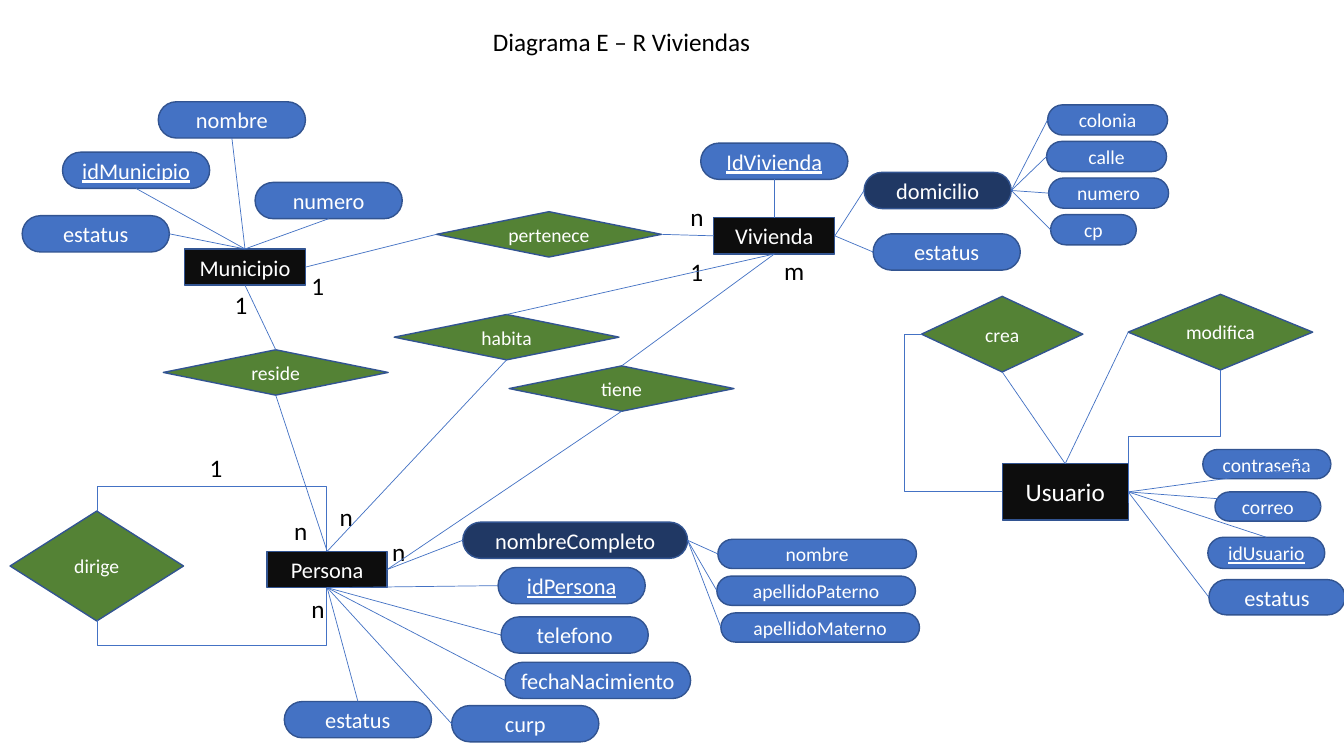
from pptx import Presentation
from pptx.dml.color import RGBColor
from pptx.enum.shapes import MSO_CONNECTOR, MSO_SHAPE
from pptx.enum.text import MSO_ANCHOR, MSO_AUTO_SIZE, PP_ALIGN
from pptx.oxml.ns import qn
from pptx.util import Inches, Pt
from lxml.etree import SubElement

WHITE = RGBColor(0xFF, 0xFF, 0xFF)
BLACK = RGBColor(0x00, 0x00, 0x00)
ENTITY_BLACK = RGBColor(0x0D, 0x0D, 0x0D)
BLUE = RGBColor(0x44, 0x72, 0xC4)
NAVY = RGBColor(0x20, 0x38, 0x64)
GREEN = RGBColor(0x54, 0x82, 0x35)
OUTLINE = RGBColor(0x32, 0x54, 0x91)

TOP, LEFT, BOTTOM, RIGHT = range(4)
KINDS = {
    "entity": (MSO_SHAPE.RECTANGLE, ENTITY_BLACK, 16, False),
    "attribute": (MSO_SHAPE.ROUNDED_RECTANGLE, BLUE, 16, False),
    "key": (MSO_SHAPE.ROUNDED_RECTANGLE, BLUE, 16, True),
    "composite": (MSO_SHAPE.ROUNDED_RECTANGLE, NAVY, 16, False),
    "relation": (MSO_SHAPE.DIAMOND, GREEN, 14, False),
}


def write(shape, text, align, anchor, font_format):
    """Write one formatted line of text into a shape."""
    frame = shape.text_frame
    frame.word_wrap = True
    frame.vertical_anchor = anchor
    para = frame.paragraphs[0]
    para.alignment = align
    span = para.add_run()
    span.text = text
    color = font_format["color"]
    for name, value in font_format.items():
        if name != "color":
            setattr(span.font, name, value)
    span.font.color.rgb = color


def add_node(page, kind, text, left, top, width=1.46, height=0.36, size=None):
    """Add an entity, attribute or relation to the diagram."""
    preset, fill, default_size, underline = KINDS[kind]
    node = page.shapes.add_shape(preset, Inches(left), Inches(top), Inches(width), Inches(height))
    node.shadow.inherit = False
    if preset == MSO_SHAPE.ROUNDED_RECTANGLE:
        node.adjustments[0] = 0.5
    node.fill.solid()
    node.fill.fore_color.rgb = fill
    node.line.color.rgb = OUTLINE
    node.line.width = Pt(1)
    write(node, text, PP_ALIGN.CENTER, MSO_ANCHOR.MIDDLE, {
        "name": "Calibri", "size": Pt(size or default_size),
        "underline": underline, "color": WHITE})
    return node


def style_line(connector):
    """Give a connector the thin blue line without a shadow."""
    connector.line.color.rgb = BLUE
    connector.line.width = Pt(0.5)
    SubElement(connector._element.spPr, qn("a:effectLst"))


def link(page, first, first_side, second, second_side):
    """Join the sides of two nodes with a straight line."""
    connector = page.shapes.add_connector(MSO_CONNECTOR.STRAIGHT, 0, 0, 0, 0)
    connector.begin_connect(first, first_side)
    connector.end_connect(second, second_side)
    style_line(connector)


def add_elbow(page, start, end, bend, rotation, flip=False):
    """Draw a bent line whose first leg follows the given rotation."""
    (x1, y1), (x2, y2) = start, end
    width, height = abs(x2 - x1), abs(y2 - y1)
    if rotation % 180:
        width, height = height, width
    left, top = (x1 + x2 - width) / 2, (y1 + y2 - height) / 2
    connector = page.shapes.add_connector(
        MSO_CONNECTOR.ELBOW, Inches(left), Inches(top), Inches(left + width), Inches(top + height))
    properties = connector._element.spPr
    frame = properties.find(qn("a:xfrm"))
    frame.set("rot", str(rotation * 60000))
    if flip:
        frame.set("flipV", "1")
    guides = properties.find(qn("a:prstGeom")).get_or_add_avLst()
    SubElement(guides, qn("a:gd"), name="adj1", fmla=f"val {round(bend * 100000)}")
    style_line(connector)


def add_labels(page, left, top, labels):
    """Place cardinality labels relative to a corner."""
    for text, x, y in labels:
        box = page.shapes.add_textbox(Inches(left + x), Inches(top + y), Inches(0.5), Inches(0.4))
        write(box, text, PP_ALIGN.LEFT, MSO_ANCHOR.TOP,
              {"name": "Calibri", "size": Pt(18), "color": BLACK})


def add_attributes(page, owner, left, top, attributes):
    """Place attributes relative to a corner and link each to its owner."""
    for kind, text, x, y, side, owner_side, *size in attributes:
        node = add_node(page, kind, text, left + x, top + y, *size)
        link(page, owner, owner_side, node, side)


def draw_title(page, left, top, width, height):
    """Format and place the title of the diagram."""
    title = page.shapes.title
    place = {"left": left, "top": top, "width": width, "height": height}
    for name, value in place.items():
        setattr(title, name, Inches(value))
    title.text_frame.auto_size = MSO_AUTO_SIZE.NONE
    write(title, "Diagrama E – R Viviendas", PP_ALIGN.CENTER, MSO_ANCHOR.TOP,
          {"name": "Calibri", "size": Pt(18), "color": BLACK})


def draw_municipio(page, left, top):
    """Draw the Municipio entity with its attributes."""
    entity = add_node(page, "entity", "Municipio", left + 1.61, top + 1.46, 1.2)
    add_attributes(page, entity, left, top, [
        ("attribute", "nombre", 1.35, 0, BOTTOM, TOP),
        ("key", "idMunicipio", 0.4, 0.5, BOTTOM, TOP),
        ("attribute", "numero", 2.31, 0.8, BOTTOM, TOP),
        ("attribute", "estatus", 0, 1.13, RIGHT, TOP),
    ])
    add_labels(page, left, top, [("1", 2.77, 1.62), ("1", 2.01, 1.81)])
    return entity


def draw_vivienda(page, left, top):
    """Draw the Vivienda entity with its attributes and address parts."""
    entity = add_node(page, "entity", "Vivienda", left + 0.33, top + 1.12, 1.2)
    address = add_node(page, "composite", "domicilio", left + 1.82, top + 0.67)
    link(page, entity, RIGHT, address, LEFT)
    add_attributes(page, entity, left, top, [
        ("key", "IdVivienda", 0.2, 0.38, BOTTOM, TOP),
        ("attribute", "estatus", 1.91, 1.28, LEFT, RIGHT),
    ])
    parts = [("colonia", 3.64, 1.19), ("calle", 3.63, 1.19), ("numero", 3.65, 1.19), ("cp", 3.67, 0.85)]
    add_attributes(page, address, left, top, [
        ("attribute", text, x, row * 0.363, LEFT, RIGHT, width, 0.3, 14)
        for row, (text, x, width) in enumerate(parts)
    ])
    add_labels(page, left, top, [("n", 0, 0.91), ("1", 0, 1.45), ("m", 0.93, 1.44)])
    return entity


def draw_persona(page, left, top):
    """Draw the Persona entity, its attributes and the dirige loop."""
    entity = add_node(page, "entity", "Persona", left + 2.55, top + 1.03, 1.19)
    full_name = add_node(page, "composite", "nombreCompleto", left + 4.49, top + 0.74, 2.23)
    link(page, entity, RIGHT, full_name, LEFT)
    add_attributes(page, entity, left, top, [
        ("key", "idPersona", 4.84, 1.19, LEFT, BOTTOM),
        ("attribute", "telefono", 4.87, 1.68, LEFT, BOTTOM),
        ("attribute", "fechaNacimiento", 4.91, 2.13, LEFT, BOTTOM, 1.84),
        ("attribute", "curp", 4.38, 2.56, LEFT, BOTTOM),
        ("attribute", "estatus", 2.72, 2.52, TOP, BOTTOM),
    ])
    parts = [("nombre", 7.02), ("apellidoPaterno", 7.01), ("apellidoMaterno", 7.05)]
    add_attributes(page, full_name, left, top, [
        ("attribute", text, x, 0.91 + row * 0.365, LEFT, RIGHT, 1.97, 0.29, 14)
        for row, (text, x) in enumerate(parts)
    ])
    add_node(page, "relation", "dirige", left, top + 0.63, 1.72, 1.09)
    add_elbow(page, (left + 3.14, top + 1.39), (left + 0.87, top + 1.71), 1.78, 90)
    add_elbow(page, (left + 3.14, top + 1.03), (left + 0.87, top + 0.63), 1.62, 270, True)
    add_labels(page, left, top, [
        ("1", 1.88, 0), ("n", 2.72, 0.62), ("n", 3.17, 0.48), ("n", 3.69, 0.83), ("n", 2.89, 1.4)])
    return entity


def draw_usuario(page, left, top):
    """Draw the Usuario entity with its attributes and relations."""
    entity = add_node(page, "entity", "Usuario", left + 0.97, top + 1.68, 1.25, 0.56, 18)
    creates = add_node(page, "relation", "crea", left + 0.17, top + 0.02, 1.6, 0.75)
    modifies = add_node(page, "relation", "modifica", left + 2.22, top, 1.83, 0.75)
    link(page, creates, BOTTOM, entity, TOP)
    link(page, modifies, LEFT, entity, TOP)
    add_elbow(page, (left + 0.97, top + 1.95), (left + 0.17, top + 0.4), 1.21, 180)
    add_elbow(page, (left + 3.13, top + 0.75), (left + 2.22, top + 2.07), 0.5, 90)
    add_attributes(page, entity, left, top, [
        ("attribute", "contraseña", 2.96, 1.54, RIGHT, RIGHT, 1.27, 0.29, 14),
        ("attribute", "correo", 3.08, 1.96, RIGHT, RIGHT, 1.05, 0.29, 14),
        ("key", "idUsuario", 3.01, 2.41, TOP, RIGHT, 1.16, 0.31, 14),
        ("attribute", "estatus", 3.02, 2.83, LEFT, RIGHT, 1.35, 0.35),
    ])


def draw_relations(page, left, top, municipio, vivienda, persona):
    """Draw the relations that join the three main entities."""
    relations = [
        ("pertenece", 2.71, 0, (municipio, RIGHT, LEFT), (vivienda, LEFT, RIGHT)),
        ("habita", 2.29, 1.02, (vivienda, BOTTOM, TOP), (persona, TOP, BOTTOM)),
        ("tiene", 3.43, 1.53, (vivienda, BOTTOM, TOP), (persona, RIGHT, BOTTOM)),
        ("reside", 0, 1.37, (municipio, BOTTOM, TOP), (persona, TOP, BOTTOM)),
    ]
    for text, x, y, *ends in relations:
        node = add_node(page, "relation", text, left + x, top + y, 2.23, 0.45)
        for entity, entity_side, side in ends:
            link(page, entity, entity_side, node, side)


def main():
    """Build the diagram slide and save the deck."""
    deck = Presentation()
    deck.slide_width, deck.slide_height = Inches(13.33), Inches(7.5)
    page = deck.slides.add_slide(deck.slide_layouts[5])
    draw_title(page, 3.68, 0.21, 4.97, 0.4)
    municipio = draw_municipio(page, 0.22, 1.01)
    vivienda = draw_vivienda(page, 6.75, 1.04)
    persona = draw_persona(page, 0.1, 4.44)
    draw_usuario(page, 8.97, 2.92)
    draw_relations(page, 1.62, 2.1, municipio, vivienda, persona)
    deck.save("out.pptx")


if __name__ == "__main__":
    main()
